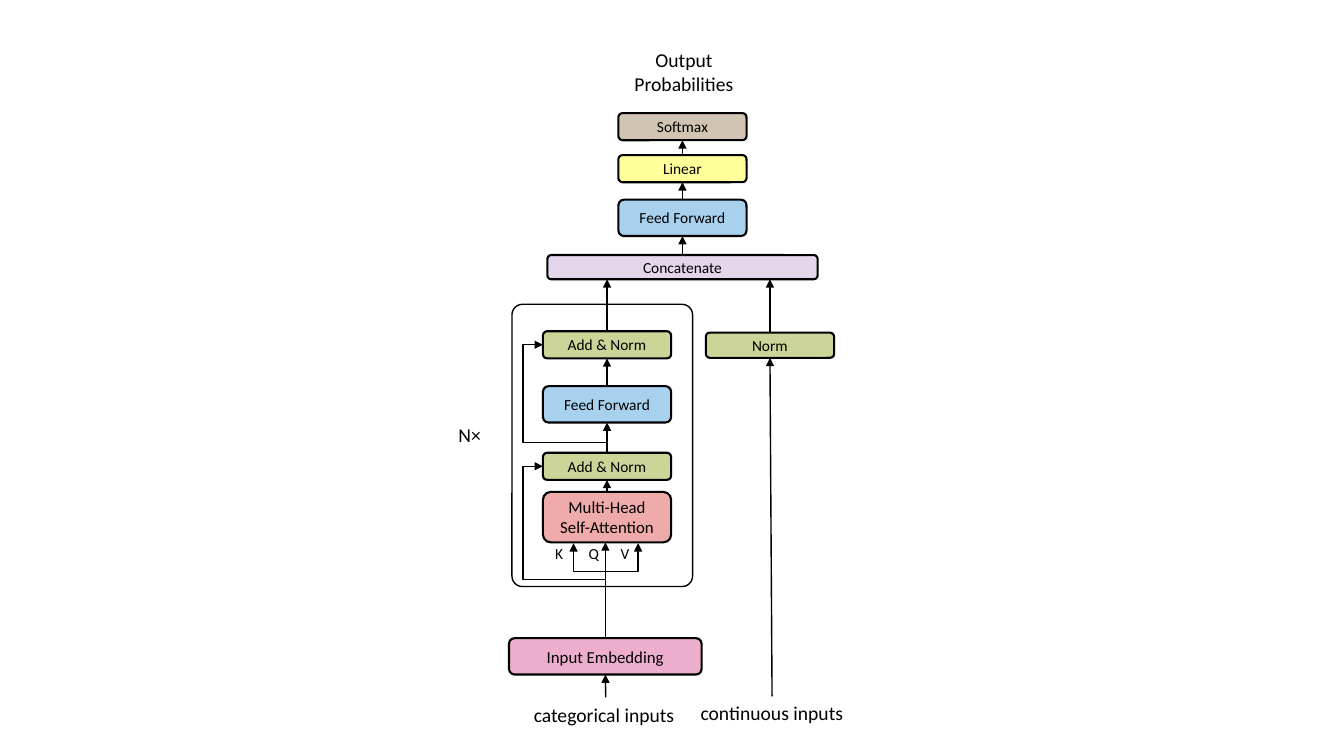
"""Draw a transformer for categorical and continuous inputs."""
from dataclasses import dataclass

from lxml import etree
from pptx import Presentation
from pptx.dml.color import RGBColor
from pptx.enum.shapes import MSO_CONNECTOR, MSO_SHAPE
from pptx.enum.text import MSO_ANCHOR, MSO_AUTO_SIZE, PP_ALIGN
from pptx.oxml.ns import qn
from pptx.util import Pt

ROUND = MSO_SHAPE.ROUNDED_RECTANGLE
STRAIGHT, ELBOW = MSO_CONNECTOR.STRAIGHT, MSO_CONNECTOR.ELBOW
MIDDLE, FIT = MSO_ANCHOR.MIDDLE, MSO_AUTO_SIZE.SHAPE_TO_FIT_TEXT
LEFT, CENTER = PP_ALIGN.LEFT, PP_ALIGN.CENTER
TOP, BOTTOM = 0, 2


@dataclass(frozen=True)
class Theme:
    """Hold colours, type sizes and line widths."""
    font: str = "Calibri"
    ink: str = "000000"
    pink: str = "EDAECD"
    red: str = "EFABAA"
    green: str = "CCD497"
    blue: str = "A8D1EE"
    violet: str = "E4D6EA"
    yellow: str = "FFFF99"
    tan: str = "D2C4B2"
    small: int = 11
    medium: int = 12
    large: int = 14
    thin: float = 1
    thick: float = 1.5


class Board:
    """Place styled elements on one slide."""

    def __init__(self, slide, theme):
        """Keep the slide and its theme."""
        self.shapes = slide.shapes
        self.theme = theme
        self.ink = RGBColor.from_string(theme.ink)

    def letter(self, frame, text, size, align):
        """Fill a text frame, one paragraph per line."""
        frame.word_wrap = True
        frame.text = text
        for line in frame.paragraphs:
            line.alignment = align
            line.font.name = self.theme.font
            line.font.size = Pt(size)
            line.font.color.rgb = self.ink

    def panel(self, mid, top, width, height, curve, weight):
        """Add an unfilled rounded outline centred on mid."""
        shape = self.shapes.add_shape(
            ROUND, Pt(mid - width / 2), Pt(top), Pt(width), Pt(height))
        shape.adjustments[0] = curve
        shape.shadow.inherit = False
        shape.fill.background()
        shape.line.color.rgb = self.ink
        shape.line.width = Pt(weight)
        return shape

    def block(self, text, fill, mid, top, height, width=91.6, size=None):
        """Add a filled layer block with centred text."""
        shape = self.panel(mid, top, width, height, 0.155, self.theme.thick)
        shape.fill.solid()
        shape.fill.fore_color.rgb = RGBColor.from_string(fill)
        frame = shape.text_frame
        frame.margin_left = frame.margin_right = 0
        frame.vertical_anchor = MIDDLE
        self.letter(frame, text, size or self.theme.small, CENTER)
        return shape

    def label(self, text, left, top, width, height, size, align=LEFT):
        """Add free text."""
        box = self.shapes.add_textbox(Pt(left), Pt(top), Pt(width), Pt(height))
        self.letter(box.text_frame, text, size, align)
        box.text_frame.auto_size = FIT

    def arrow(self, start, end, kind=STRAIGHT):
        """Add an arrow between two points."""
        line = self.shapes.add_connector(kind, *map(Pt, start + end))
        line.line.color.rgb = self.ink
        line.line.width = Pt(self.theme.thin)
        stroke = line._element.spPr.find(qn("a:ln"))
        etree.SubElement(stroke, qn("a:tailEnd"), type="triangle")
        etree.SubElement(line._element.spPr, qn("a:effectLst"))
        return line

    def bend(self, start, end, turn):
        """Add an elbow arrow whose upright part stands at turn."""
        line = self.arrow(start, end, ELBOW)
        ratio = (turn - start[0]) / (end[0] - start[0])
        guides = line._element.spPr.find(qn("a:prstGeom")).get_or_add_avLst()
        etree.SubElement(guides, qn("a:gd"), name="adj1",
                         fmla=f"val {round(ratio * 100000)}")

    def climb(self, low, high):
        """Add an upright arrow from the top of low to the bottom of high."""
        x = low.left + low.width // 2
        base = high.top + high.height
        line = self.arrow((x / Pt(1), low.top / Pt(1)), (x / Pt(1), base / Pt(1)))
        line.begin_connect(low, TOP)
        if abs(high.left + high.width // 2 - x) < Pt(0.5):
            line.end_connect(high, BOTTOM)


def main():
    """Build and save the slide."""
    deck = Presentation()
    deck.slide_width, deck.slide_height = Pt(960), Pt(540)
    look = Theme()
    board = Board(deck.slides.add_slide(deck.slide_layouts[6]), look)
    stem, core, side, head = 432.4, 433.6, 550, 487.5
    flat, tall = 19.4, 26

    board.panel(430.2, 217.4, 129, 201.6, 0.058, look.thin)
    embed = board.block("Input Embedding", look.pink, stem, 455.8, tall,
                        137.6, look.medium)
    focus = board.block("Multi-Head\nSelf-Attention", look.red, core, 351.4, 36,
                        size=look.medium)
    first = board.block("Add & Norm", look.green, core, 323.4, flat)
    feed = board.block("Feed Forward", look.blue, core, 275.8, tall)
    second = board.block("Add & Norm", look.green, core, 236.6, flat)
    norm = board.block("Norm", look.green, side, 237.6, 18)
    merge = board.block("Concatenate", look.violet, head, 182.2, 17.3, 193)
    dense = board.block("Feed Forward", look.blue, head, 142.6, tall)
    linear = board.block("Linear", look.yellow, head, 110.8, flat)
    final = board.block("Softmax", look.tan, head, 80.8, flat)

    for chain in ((embed, focus), (focus, first, feed, second, merge),
                  (norm, merge, dense, linear, final)):
        for low, high in zip(chain, chain[1:]):
            board.climb(low, high)

    board.arrow((432.7, 498.2), (stem, 481.8)).end_connect(embed, BOTTOM)
    board.arrow((551.5, 497.5), (side, 255.6)).end_connect(norm, BOTTOM)

    edge, skip = 387.8, 373.7
    board.bend((core, 316), (edge, 246.3), skip)
    board.bend((stem, 414), (edge, 333.1), skip)
    for x in (409.7, 455.8):
        board.bend((stem, 408.2), (x, 388), x)

    for left, text in ((389.5, "K"), (413.3, "Q"), (436.3, "V")):
        board.label(text, left, 385.2, 21, 20.6, look.small)
    for text, left, top, width in (("N×", 320.4, 298.8, 44.6),
                                   ("categorical inputs", 374.2, 498.5, 117),
                                   ("continuous inputs", 493.3, 497.3, 117)):
        board.label(text, left, top, width, 24.2, look.large)
    board.label("Output\nProbabilities", 441.4, 31, 94.4, 41, look.large, CENTER)
    deck.save("out.pptx")


if __name__ == "__main__":
    main()
